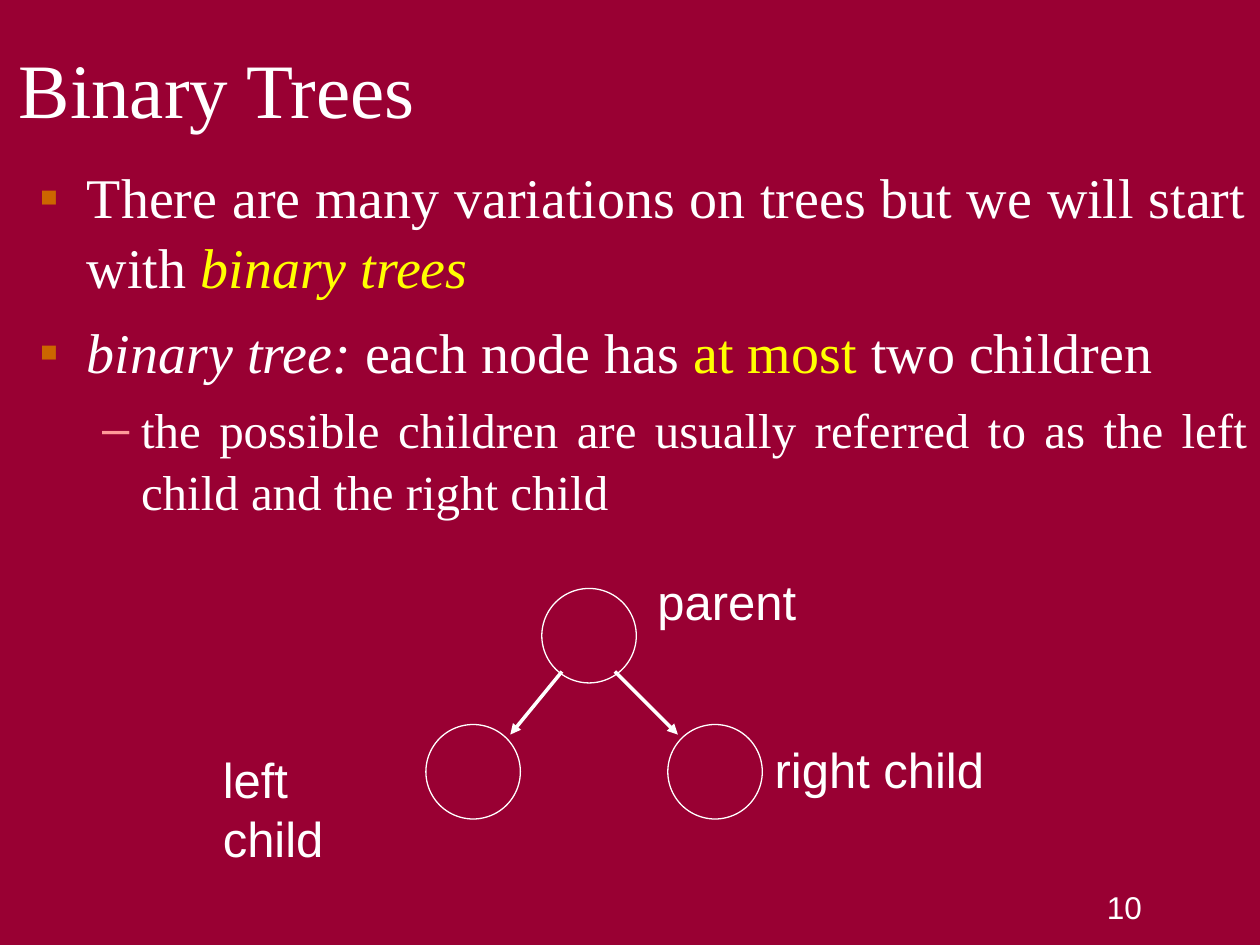
"""Build the Binary Trees slide with its bullet list and node diagram."""
import pptx
import pptx.dml.color
import pptx.enum.shapes
import pptx.enum.text
import pptx.oxml
import pptx.oxml.ns
import pptx.util
from pptx.util import Inches

COLORS = {
    "background": "990033",
    "text": "FFFFFF",
    "highlight": "FFFF00",
    "square": "CC6600",
    "dash": "FF9999",
}
ALIGN = pptx.enum.text.PP_ALIGN
NODE_SIZE = 0.75


def rgb(name):
    return pptx.dml.color.RGBColor.from_string(COLORS[name])


def place(item, left, top, width, height):
    item.left, item.top = Inches(left), Inches(top)
    item.width, item.height = Inches(width), Inches(height)


def style(paragraph, size, face):
    paragraph.font.size = pptx.util.Pt(size)
    paragraph.font.name = face
    paragraph.font.color.rgb = rgb("text")


def add_xml(parent, tag, **attributes):
    element = pptx.oxml.parse_xml(f"<a:{tag} {pptx.oxml.ns.nsdecls('a')}/>")
    for key, value in attributes.items():
        element.set(key, value)
    parent.append(element)
    return element


def set_bullet(paragraph, mark, color, margin, hanging):
    properties = paragraph._p.get_or_add_pPr()
    properties.set("marL", str(Inches(margin)))
    properties.set("indent", str(-Inches(hanging)))
    bullet_color = add_xml(properties, "buClr")
    add_xml(bullet_color, "srgbClr", val=COLORS[color])
    add_xml(properties, "buChar", char=mark)


def set_title(slide, text):
    title = slide.shapes.title
    place(title, 0.05, 0.07, 3.37, 1.25)
    frame = title.text_frame
    frame.text = text
    frame.vertical_anchor = pptx.enum.text.MSO_ANCHOR.MIDDLE
    frame.auto_size = pptx.enum.text.MSO_AUTO_SIZE.NONE
    frame.paragraphs[0].alignment = ALIGN.LEFT
    style(frame.paragraphs[0], 44, "Times New Roman")


def set_points(slide, points):
    body = slide.placeholders[1]
    place(body, 0.21, 1.21, 9.79, 2.94)
    frame = body.text_frame
    frame.auto_size = pptx.enum.text.MSO_AUTO_SIZE.NONE
    levels = [(32, 8, "▪", "square", 0.38, 0.38), (28, 7, "–", "dash", 0.81, 0.31)]
    for index, (level, runs) in enumerate(points):
        point = frame.paragraphs[0] if index == 0 else frame.add_paragraph()
        size, gap, mark, color, margin, hanging = levels[level]
        point.level = level
        point.alignment = ALIGN.JUSTIFY
        point.line_spacing = 1.05
        point.space_before = pptx.util.Pt(gap if index else 0)
        set_bullet(point, mark, color, margin, hanging)
        style(point, size, "Times New Roman")
        for text, run_color, italic in runs:
            run = point.add_run()
            run.text = text
            run.font.color.rgb = rgb(run_color)
            run.font.italic = italic


def add_node(slide, left, top):
    node = slide.shapes.add_shape(
        pptx.enum.shapes.MSO_SHAPE.OVAL,
        Inches(left), Inches(top), Inches(NODE_SIZE), Inches(NODE_SIZE))
    node.shadow.inherit = False
    node.fill.background()
    node.line.color.rgb = rgb("text")
    node.line.width = pptx.util.Pt(0.75)


def add_arrow(slide, *ends):
    arrow = slide.shapes.add_connector(
        pptx.enum.shapes.MSO_CONNECTOR.STRAIGHT, *map(Inches, ends))
    arrow.line.color.rgb = rgb("text")
    arrow.line.width = pptx.util.Pt(2)
    add_xml(arrow.line._get_or_add_ln(), "tailEnd", type="triangle")
    add_xml(arrow._element.spPr, "effectLst")


def add_label(slide, text, box, size=28, alignment=ALIGN.LEFT, wrap=False):
    label = slide.shapes.add_textbox(*map(Inches, box))
    label.text_frame.word_wrap = wrap
    label.text_frame.text = text
    paragraph = label.text_frame.paragraphs[0]
    paragraph.alignment = alignment
    style(paragraph, size, "Arial")


def main():
    deck = pptx.Presentation()
    deck.slide_width, deck.slide_height = Inches(10), Inches(7.5)
    slide = deck.slides.add_slide(deck.slide_layouts[1])
    slide.background.fill.solid()
    slide.background.fill.fore_color.rgb = rgb("background")

    set_title(slide, "Binary Trees")
    set_points(slide, [
        (0, [("There are many variations on trees but we will start with ", "text", False),
             ("binary trees", "highlight", True)]),
        (0, [("binary tree: ", "text", True),
             ("each node has ", "text", False),
             ("at most ", "highlight", False),
             ("two children", "text", False)]),
        (1, [("the possible children are usually referred to as the left child "
              "and the right child", "text", False)]),
    ])

    for left, top in [(4.3, 4.67), (3.38, 5.75), (5.3, 5.75)]:
        add_node(slide, left, top)
    for start, end in [(4.46, 4.05), (4.88, 5.38)]:
        add_arrow(slide, start, 5.33, end, 5.83)

    add_label(slide, "parent", (5.12, 4.49, 1.3, 0.57))
    add_label(slide, "left child", (1.67, 5.9, 1.62, 0.57))
    add_label(slide, "right child", (6.05, 5.82, 1.86, 0.57))
    add_label(slide, "10", (7.08, 7, 2.08, 0.5), 18, ALIGN.RIGHT, True)
    deck.save("out.pptx")


if __name__ == "__main__":
    main()
